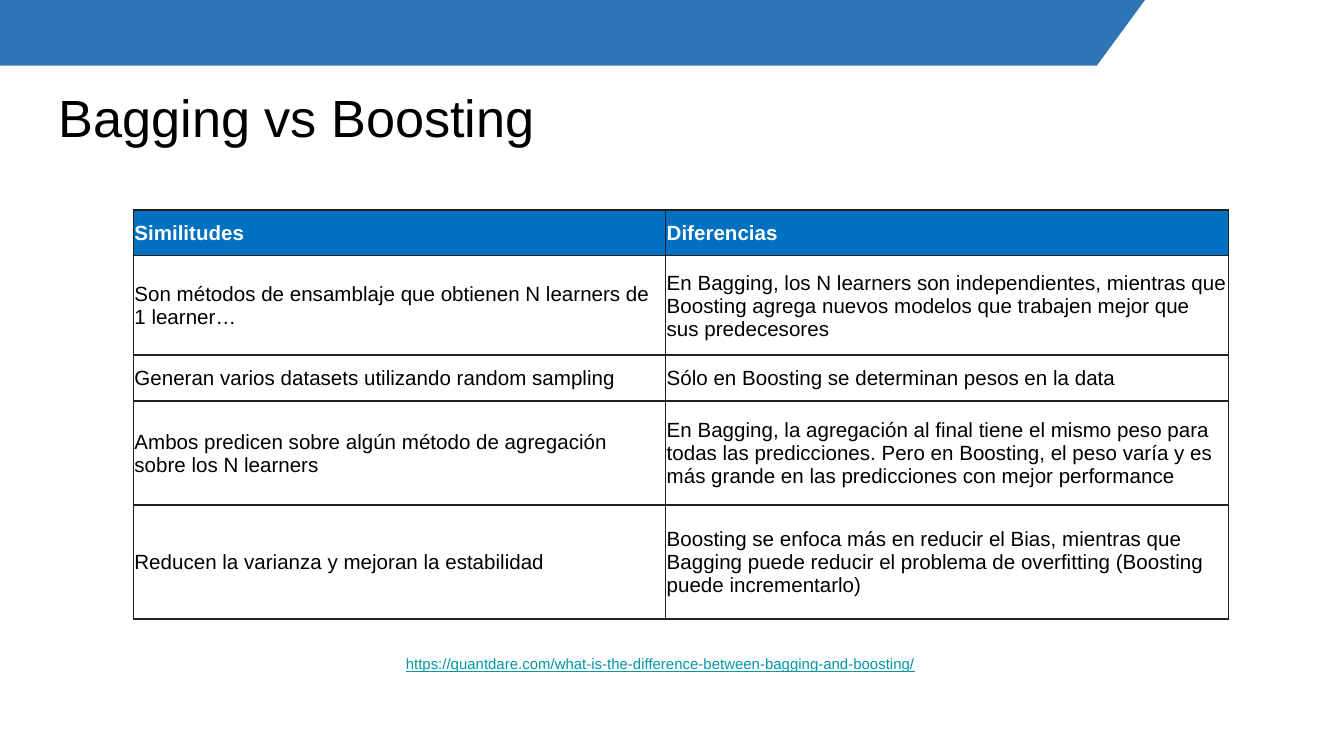
from lxml import etree
from pptx import Presentation
from pptx import util as u
from pptx.dml.color import RGBColor
from pptx.enum import text as t
from pptx.oxml.ns import qn

ROWS = [
    ("Similitudes", "Diferencias"),
    ("Son métodos de ensamblaje que obtienen N learners de 1 learner…",
     "En Bagging, los N learners son independientes, mientras que Boosting "
     "agrega nuevos modelos que trabajen mejor que sus predecesores"),
    ("Generan varios datasets utilizando random sampling",
     "Sólo en Boosting se determinan pesos en la data"),
    ("Ambos predicen sobre algún método de agregación sobre los N learners",
     "En Bagging, la agregación al final tiene el mismo peso para todas las "
     "predicciones. Pero en Boosting, el peso varía y es más grande en las "
     "predicciones con mejor performance"),
    ("Reducen la varianza y mejoran la estabilidad",
     "Boosting se enfoca más en reducir el Bias, mientras que Bagging puede "
     "reducir el problema de overfitting (Boosting puede incrementarlo)"),
]
WIDTHS = (10.06, 10.64)
HEIGHTS = (0.86, 1.88, 0.86, 1.97, 2.15)
LINK = "https://quantdare.com/what-is-the-difference-between-bagging-and-boosting/"


def tint(part, color):
    """Give a fill or font color holder a solid hex color."""
    part.fill.solid()
    part.fill.fore_color.rgb = RGBColor.from_string(color)


def write(para, words, size, color, bold=False, under=False):
    """Add one formatted run to a paragraph."""
    run = para.add_run()
    run.text = words
    font = run.font
    font.name, font.size = "Arial", u.Pt(size)
    font.bold, font.underline = bold, under
    tint(font, color)


def edge(cell, color, width):
    """Draw all four borders of a table cell."""
    props = cell._tc.get_or_add_tcPr()
    for at, side in enumerate(("a:lnL", "a:lnR", "a:lnT", "a:lnB")):
        line = etree.Element(qn(side), w=str(u.Pt(width)))
        fill = etree.SubElement(line, qn("a:solidFill"))
        etree.SubElement(fill, qn("a:srgbClr"), val=color)
        props.insert(at, line)


def band(slide, x, y, w, h):
    """Draw the slanted top band."""
    pen = slide.shapes.build_freeform(u.Cm(x), u.Cm(y))
    ends = [(x + w, y), (x + w - 0.91, y + h), (x, y + h)]
    pen.add_line_segments([(u.Cm(a), u.Cm(b)) for a, b in ends])
    shape = pen.convert_to_shape()
    shape.shadow.inherit = False
    tint(shape, "2E75B5")
    shape.line.fill.background()


def head(slide, x, y, w, h):
    """Place the slide title."""
    title = slide.shapes.title
    title.left, title.top, title.width, title.height = map(u.Cm, (x, y, w, h))
    frame = title.text_frame
    frame.margin_left = frame.margin_right = u.Cm(0.25)
    frame.margin_top = frame.margin_bottom = u.Cm(0.25)
    frame.vertical_anchor = t.MSO_ANCHOR.TOP
    frame.auto_size = t.MSO_AUTO_SIZE.NONE
    para = frame.paragraphs[0]
    para.alignment = t.PP_ALIGN.LEFT
    para.line_spacing = 1.1
    write(para, "Bagging vs Boosting", 28, "000000")


def grid(slide, x, y):
    """Place the table of similarities and differences."""
    size = map(u.Cm, (x, y, sum(WIDTHS), sum(HEIGHTS)))
    table = slide.shapes.add_table(len(ROWS), len(WIDTHS), *size).table
    table.first_row = table.horz_banding = False
    for col, width in zip(table.columns, WIDTHS):
        col.width = u.Cm(width)
    for r, (row, height) in enumerate(zip(ROWS, HEIGHTS)):
        table.rows[r].height = u.Cm(height)
        top = r == 0
        for c, words in enumerate(row):
            cell = table.cell(r, c)
            cell.margin_left = cell.margin_right = cell.margin_top = u.Cm(0.02)
            cell.margin_bottom = 0
            cell.vertical_anchor = t.MSO_ANCHOR.MIDDLE
            tint(cell, "0070C0" if top else "FFFFFF")
            edge(cell, "212121", 1)
            write(cell.text_frame.paragraphs[0], words, 11,
                  "FFFFFF" if top else "000000", bold=top)


def source(slide, x, y, w, h):
    """Place the web address below the table."""
    frame = slide.shapes.add_textbox(*map(u.Cm, (x, y, w, h))).text_frame
    frame.word_wrap = True
    write(frame.paragraphs[0], LINK, 8, "0097A7", under=True)


def main():
    """Build and save the slide."""
    deck = Presentation()
    deck.slide_width, deck.slide_height = u.Cm(25.4), u.Cm(14.28)
    slide = deck.slides.add_slide(deck.slide_layouts[5])
    band(slide, 0, 0, 21.64, 1.24)
    head(slide, 0.86, 1.24, 23.67, 1.6)
    grid(slide, 2.52, 3.97)
    source(slide, 7.42, 12.24, 10.24, 0.6)
    deck.save("out.pptx")


if __name__ == "__main__":
    main()
